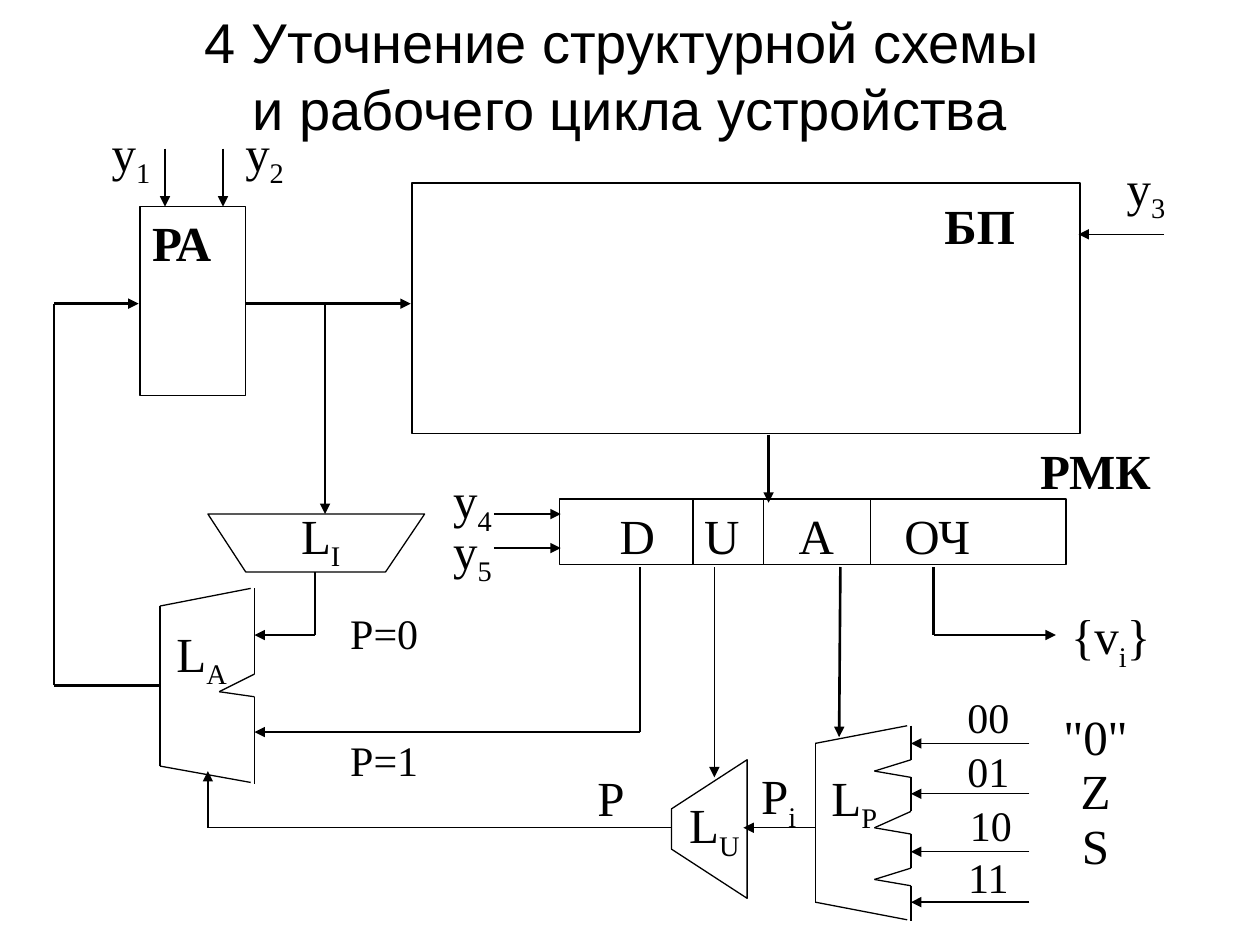
import pptx
import pptx.dml.color
import pptx.enum.shapes
import pptx.enum.text
import pptx.oxml
import pptx.oxml.ns
import pptx.util
from pptx.util import Inches

BLACK = "000000"
SERIF = "Times New Roman"
ALIGN = pptx.enum.text.PP_ALIGN
ANCHOR = pptx.enum.text.MSO_ANCHOR


def color(value):
    return pptx.dml.color.RGBColor.from_string(value)


def write_text(para, text, size, bold=False, font=SERIF):
    para.text = text.replace("_", "")
    if "_" in text:
        base, rest = text.split("_")
        para.text = base
        para.add_run().text = rest[0]
        para.runs[1]._r.get_or_add_rPr().set("baseline", "-25000")
        if rest[1:]:
            para.add_run().text = rest[1:]
    for span in para.runs:
        span.font.name = font
        span.font.size = pptx.util.Pt(size)
        span.font.bold = bold
        span.font.color.rgb = color(BLACK)


deck = pptx.Presentation()
deck.slide_width = Inches(10)
deck.slide_height = Inches(7.5)
page = deck.slides.add_slide(deck.slide_layouts[5])

title = page.shapes.title
title.left, title.top = Inches(0.75), Inches(0.05)
title.width, title.height = Inches(8.5), Inches(1.09)
title.text_frame.vertical_anchor = ANCHOR.MIDDLE
title.text_frame.paragraphs[0].alignment = ALIGN.CENTER
write_text(
    title.text_frame.paragraphs[0],
    "4 Уточнение структурной схемы \vи рабочего цикла устройства",
    32, font="Arial",
)

register_tabs = [0.52, 1.19, 1.94, 2.9]
blocks = [
    ("РА", True, 1.11, 1.64, 0.84, 1.5),
    ("\tD\tU\tA\tОЧ", False, 4.44, 3.96, 4.02, 0.52),
    ("", False, 3.27, 1.45, 5.3, 1.99),
]
for text, bold, left, top, width, height in blocks:
    block = page.shapes.add_shape(
        pptx.enum.shapes.MSO_SHAPE.RECTANGLE,
        Inches(left), Inches(top), Inches(width), Inches(height),
    )
    block.shadow.inherit = False
    block.fill.background()
    block.line.color.rgb = color(BLACK)
    block.line.width = pptx.util.Pt(1)
    block.text_frame.vertical_anchor = ANCHOR.TOP
    para = block.text_frame.paragraphs[0]
    para.alignment = ALIGN.LEFT
    if "\t" in text:
        tabs = pptx.oxml.ns.qn("a:tabLst")
        tab_list = para._p.get_or_add_pPr().makeelement(tabs, {})
        para._p.get_or_add_pPr().append(tab_list)
        for position in register_tabs:
            tab = tab_list.makeelement(
                pptx.oxml.ns.qn("a:tab"), {"pos": str(Inches(position)), "algn": "ctr"}
            )
            tab_list.append(tab)
    if text:
        write_text(para, text, 28, bold)

trapezoids = [
    [(5.93, 7.13), (5.33, 6.74), (5.33, 6.42), (5.93, 6.03)],
    [(1.65, 4.08), (1.95, 4.54), (3.06, 4.54), (3.37, 4.08)],
]
for corners in trapezoids:
    points = [(Inches(x), Inches(y)) for x, y in corners]
    builder = page.shapes.build_freeform(*points[0])
    builder.add_line_segments(points[1:], close=True)
    trapezoid = builder.convert_to_shape()
    trapezoid.shadow.inherit = False
    trapezoid.fill.background()
    trapezoid.line.color.rgb = color(BLACK)
    trapezoid.line.width = pptx.util.Pt(0.75)

outlines = [
    [(7.2, 5.76), (6.47, 5.9), (6.47, 7.16), (7.2, 7.3)],
    [(7.23, 5.76), (7.23, 6.03), (6.94, 6.12), (7.23, 6.17), (7.23, 6.44),
     (6.94, 6.57), (7.23, 6.62), (7.23, 6.89), (6.94, 6.98), (7.23, 7.03),
     (7.23, 7.31)],
    [(1.99, 4.67), (1.27, 4.81), (1.27, 6.08), (1.99, 6.21)],
    [(2.02, 4.67), (2.02, 5.35), (1.74, 5.49), (2.02, 5.53), (2.02, 6.22)],
]
dividers = [[(x, 3.96), (x, 4.48)] for x in (5.5, 6.06, 6.91)]
buses = [
    [(6.1, 3.45), (6.1, 3.99)],
    [(1.95, 2.41), (3.26, 2.41)],
    [(2.58, 2.41), (2.58, 4.08)],
    [(6.67, 4.5), (6.66, 5.85)],
    [(5.08, 4.5), (5.08, 5.81), (2.02, 5.81)],
    [(2.5, 4.54), (2.5, 5.04), (2.02, 5.04)],
    [(1.27, 5.44), (0.43, 5.44), (0.43, 2.41), (1.1, 2.41)],
    [(7.41, 4.5), (7.41, 5.04), (8.38, 5.04)],
]
signals = [
    [(9.24, 1.86), (8.56, 1.86)],
    [(6.47, 6.57), (5.9, 6.57)],
    [(5.67, 4.5), (5.67, 6.17)],
    [(5.33, 6.57), (1.65, 6.57), (1.65, 6.12)],
]
signals += [[(x, 1.18), (x, 1.64)] for x in (1.31, 1.77)]
signals += [[(3.92, y), (4.45, y)] for y in (4.08, 4.35)]
signals += [[(8.17, y), (7.23, y)] for y in (5.9, 6.3, 6.76, 7.16)]

line_groups = [
    (outlines + dividers, 0.75, False),
    (buses, 1.5, True),
    (signals, 0.75, True),
]
for routes, weight, has_arrow in line_groups:
    for route in routes:
        for start, end in zip(route, route[1:]):
            line = page.shapes.add_connector(
                pptx.enum.shapes.MSO_CONNECTOR.STRAIGHT,
                *(Inches(value) for value in start + end),
            )
            line.line.color.rgb = color(BLACK)
            line.line.width = pptx.util.Pt(weight)
            if has_arrow and end == route[-1]:
                stroke = line.line._get_or_add_ln()
                stroke.append(stroke.makeelement(
                    pptx.oxml.ns.qn("a:tailEnd"), {"type": "triangle"}))
            properties = line._element.spPr
            properties.append(properties.makeelement(
                pptx.oxml.ns.qn("a:effectLst"), {}))

labels = [
    ("y_1", 0.55, 0.92, 0.98, 28, False),
    ("y_2", 1.61, 0.92, 0.98, 28, False),
    ("y_3", 8.36, 1.2, 1.47, 28, False),
    ("y_4", 3.26, 3.68, 0.98, 28, False),
    ("y_5", 3.26, 4.08, 0.98, 28, False),
    ("РМК", 7.91, 3.45, 1.57, 28, True),
    ("БП", 6.99, 1.5, 1.57, 28, True),
    ("L_P", 6.31, 6.04, 0.94, 28, False),
    ("P_i", 5.71, 6.03, 0.94, 28, False),
    ("L_U", 5.15, 6.26, 1.04, 28, False),
    ("L_I", 1.65, 3.96, 1.79, 28, False),
    ("L_A", 1.08, 4.9, 1.04, 28, False),
    ("{v_i}", 8.08, 4.76, 1.47, 28, False),
    ("P", 4.38, 6.04, 0.94, 28, False),
    ("P=0", 2.58, 4.77, 0.94, 24, False),
    ("P=1", 2.58, 5.78, 0.94, 24, False),
    ("10", 7.25, 6.3, 1.23, 24, False),
]
labels += [(text, 7.23, top, 1.23, 24, False)
           for text, top in (("00", 5.44), ("01", 5.87), ("11", 6.71))]
labels += [(text, 8.08, 5.56 + 0.43 * row, 1.23, 28, False)
           for row, text in enumerate(('"0"', "Z", "S"))]
for text, left, top, width, size, bold in labels:
    box = page.shapes.add_textbox(
        Inches(left), Inches(top), Inches(width), Inches(0.54))
    box.text_frame.word_wrap = True
    para = box.text_frame.paragraphs[0]
    para.alignment = ALIGN.CENTER
    write_text(para, text, size, bold)

deck.save("out.pptx")
